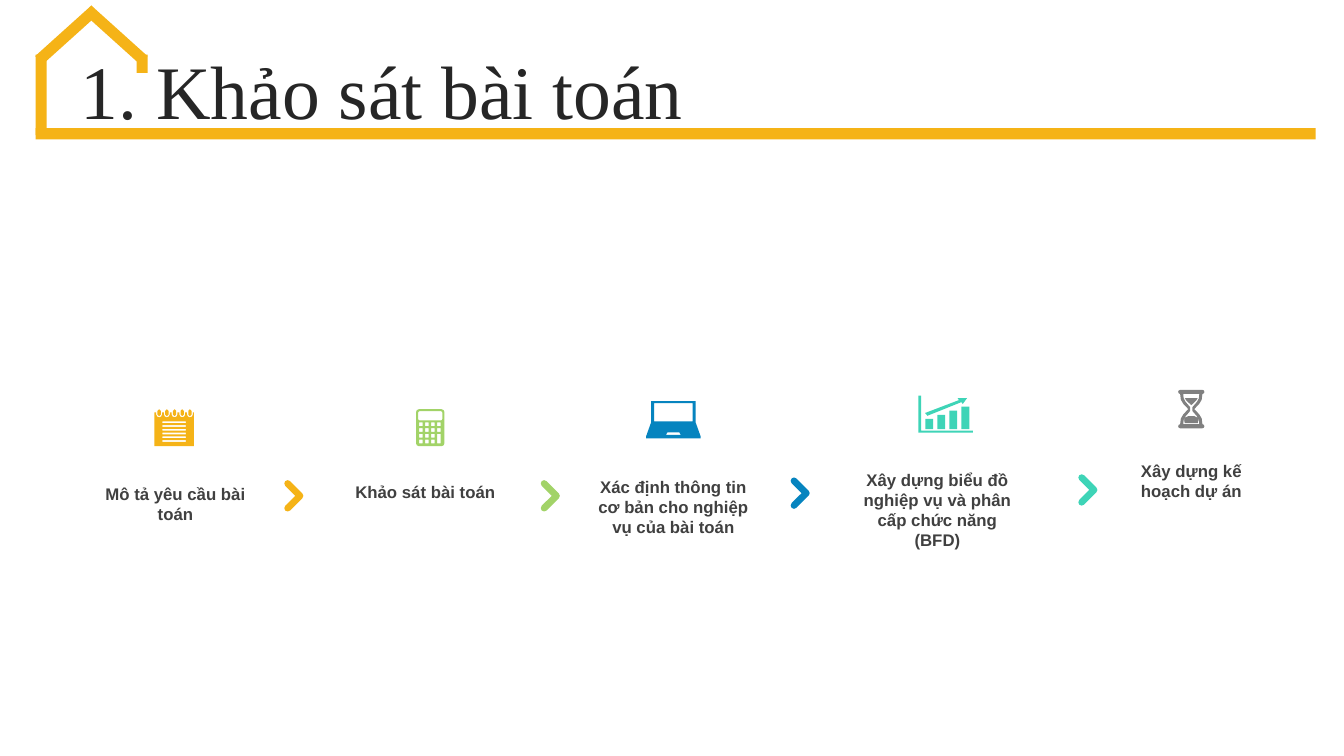
from dataclasses import dataclass
from math import cos, radians, sin

from pptx import Presentation
from pptx.dml.color import RGBColor
from pptx.enum import shapes, text
from pptx.util import Pt


@dataclass(frozen=True)
class Theme:
    orange: str = "F5B317"
    green: str = "A2D368"
    blue: str = "0684BF"
    teal: str = "3ED4B7"
    gray: str = "808080"
    title_color: str = "262626"
    label_color: str = "404040"
    title_font: str = "Times New Roman"
    label_font: str = "Arial"
    title_size: int = 54
    label_size: int = 12


theme = Theme()

TITLE = "1. Khảo sát bài toán"
STEPS = [
    dict(label="Mô tả yêu cầu bài toán", lines=2, center=125.3, top=342,
         icon="notepad", icon_at=(110.2, 292.3), color=theme.orange, chevron_at=(210, 354.2)),
    dict(label="Khảo sát bài toán", lines=1, center=303.8, top=340.6,
         icon="calculator", icon_at=(297.2, 292.3), color=theme.green, chevron_at=(393.2, 354.2)),
    dict(label="Xác định thông tin cơ bản cho nghiệp vụ của bài toán", lines=3, center=481, top=337,
         icon="laptop", icon_at=(461.5, 286.6), color=theme.blue, chevron_at=(571.7, 352.3)),
    dict(label="Xây dựng biểu đồ nghiệp vụ và phân cấp chức năng (BFD)", lines=4, center=669.6, top=332,
         icon="growth", icon_at=(656, 282.6), color=theme.teal, chevron_at=(777.2, 350)),
    dict(label="Xây dựng kế hoạch dự án", lines=2, center=851, top=325.4,
         icon="hourglass", icon_at=(841.6, 278.5), color=theme.gray, chevron_at=None),
]
HOUSE_BARS = [
    (25.4, 91.6, 914.4, 8, 0),
    (25.4, 39, 8, 57.6, 0),
    (97.6, 39, 8, 13, 0),
    (43.9, -2, 8, 54, 48),
    (78.7, -2, 8, 54, 312),
]
LABEL_WIDTH = 123.8
LINE_HEIGHT = 14.4
INSET = 3.6


def arc(x, y, radius, start, end, steps=2):
    angles = [radians(start + (end - start) * i / steps) for i in range(steps + 1)]
    return [(x + radius * cos(a), y + radius * sin(a)) for a in angles]


def box(x, y, width, height, radius=0):
    right, bottom = x + width, y + height
    if not radius:
        return [(x, y), (right, y), (right, bottom), (x, bottom)]
    return (arc(x + radius, y + radius, radius, 180, 270)
            + arc(right - radius, y + radius, radius, 270, 360)
            + arc(right - radius, bottom - radius, radius, 0, 90)
            + arc(x + radius, bottom - radius, radius, 90, 180))


def mirrored(right_side, width):
    return right_side + [(width - x, y) for x, y in reversed(right_side)]


def notepad():
    notches = [1.4 + 5.5 * i for i in range(5)]
    body = [(0, 2.2)]
    for x in notches:
        body += [(x, 2.2)] + arc(x + 2.1, 3.7, 2.1, 180, 0, 4) + [(x + 4.2, 2.2)]
    body += [(28.4, 2.2), (28.4, 26.4), (0, 26.4)]
    rings = [arc(x + 2.1, 1.2, 1.2, 180, 360) + arc(x + 2.1, 3.8, 1.2, 0, 180) for x in notches]
    rules = [box(5.8, 8.6 + 2.7 * i, 16.8, 1.3) for i in range(6)]
    return [body] + rings + rules


def calculator():
    keys = []
    for column in range(4):
        for row in range(4):
            tall = column == 3 and row == 2
            if column < 3 or row < 3:
                keys.append(box(2.1 + 4.3 * column, 9.4 + 4.1 * row, 2.6, 6.8 if tall else 2.7))
    return [box(0, 0, 20.2, 26.4, 2), box(1.5, 1.4, 17.2, 6.6, 1)] + keys


def laptop():
    shell = [(35.4, 0), (35.4, 15.1), (39, 25.2), (39, 26.6)]
    touchpad = [(23.8, 22.3), (24.8, 24)]
    return [mirrored(shell, 39), box(5.8, 1.4, 27.4, 13), mirrored(touchpad, 39)]


def growth():
    bars = [box(5 + 8.6 * i, 16.6 - 2.9 * i, 5.6, 7.4 + 2.9 * i) for i in range(4)]
    axes = [(0, 0), (2, 0), (2, 25), (38.9, 25), (38.9, 26.4), (0, 26.4)]
    arrow = [(28.1, 1.8), (34.8, 1.8), (31.7, 6), (30.8, 4.6), (6.5, 14.4), (4.8, 12.4), (29, 3.2)]
    return bars + [axes, arrow]


def hourglass():
    width = 18.7
    glass = [(17.3, 2.9), (16.8, 7), (15, 10), (11.5, 13.7), (15, 17.4), (16.8, 20.4), (17.3, 24.5)]
    hollow = [(15.1, 2.9), (14.8, 6), (13.4, 8.6), (10.1, 12.4), (10.1, 15),
              (13.4, 18.8), (14.8, 21.4), (15.1, 24.5)]
    sand = [(13.9, 5.9), (13, 7.4), (9.4, 10.9)]
    pile = [(11.6, 18.8), (13.8, 19.8), (14.4, 21.5), (14, 23.8)]
    caps = [box(0, y, width, 2.9, 1.4) for y in (0, 24.5)]
    return caps + [mirrored(side, width) for side in (glass, hollow, sand, pile)]


def chevron():
    return [arc(-4.5, -8.8, 2.4, 135, 315, 4) + arc(4.3, 0, 2.4, -45, 45)
            + arc(-4.5, 8.8, 2.4, 45, 225, 4) + [(0.9, 0)]]


ICONS = dict(notepad=notepad, calculator=calculator, laptop=laptop, growth=growth, hourglass=hourglass)

presentation = Presentation()
presentation.slide_width, presentation.slide_height = Pt(960), Pt(540)
slide = presentation.slides.add_slide(presentation.slide_layouts[5])


def paint(shape, color):
    shape.shadow.inherit = False
    shape.fill.solid()
    shape.fill.fore_color.rgb = RGBColor.from_string(color)
    shape.line.fill.background()


def draw_outline(contours, origin, color):
    placed = [[(Pt(origin[0] + x), Pt(origin[1] + y)) for x, y in contour] for contour in contours]
    builder = slide.shapes.build_freeform(*placed[0][0], scale=1.0)
    for index, points in enumerate(placed):
        if index:
            builder.move_to(*points[0])
        builder.add_line_segments(points[1:], close=True)
    paint(builder.convert_to_shape(), color)


def write(frame, content, *, font, size, color, bold=False, align=text.PP_ALIGN.LEFT):
    frame.word_wrap = True
    paragraph = frame.paragraphs[0]
    paragraph.alignment = align
    run = paragraph.add_run()
    run.text = content
    run.font.name, run.font.size, run.font.bold = font, Pt(size), bold
    run.font.color.rgb = RGBColor.from_string(color)
    return paragraph


for left, top, width, height, rotation in HOUSE_BARS:
    bar = slide.shapes.add_shape(shapes.MSO_SHAPE.RECTANGLE, Pt(left), Pt(top), Pt(width), Pt(height))
    bar.rotation = rotation
    paint(bar, theme.orange)

title = slide.shapes.title
title.left, title.top, title.width, title.height = Pt(50.4), Pt(39.6), Pt(886.3), Pt(56.9)
title.text_frame.auto_size = text.MSO_AUTO_SIZE.NONE
title.text_frame.vertical_anchor = text.MSO_ANCHOR.MIDDLE
heading = write(title.text_frame, TITLE, font=theme.title_font, size=theme.title_size,
                color=theme.title_color)
heading.line_spacing = 0.9
heading.space_before = Pt(10)

for step in STEPS:
    draw_outline(ICONS[step["icon"]](), step["icon_at"], step["color"])
    label = slide.shapes.add_textbox(Pt(step["center"] - LABEL_WIDTH / 2), Pt(step["top"]),
                                     Pt(LABEL_WIDTH), Pt(2 * INSET + LINE_HEIGHT * step["lines"]))
    label.text_frame.auto_size = text.MSO_AUTO_SIZE.SHAPE_TO_FIT_TEXT
    write(label.text_frame, step["label"], font=theme.label_font, size=theme.label_size,
          color=theme.label_color, bold=True, align=text.PP_ALIGN.CENTER)
    if step["chevron_at"]:
        draw_outline(chevron(), step["chevron_at"], step["color"])

presentation.save("out.pptx")
